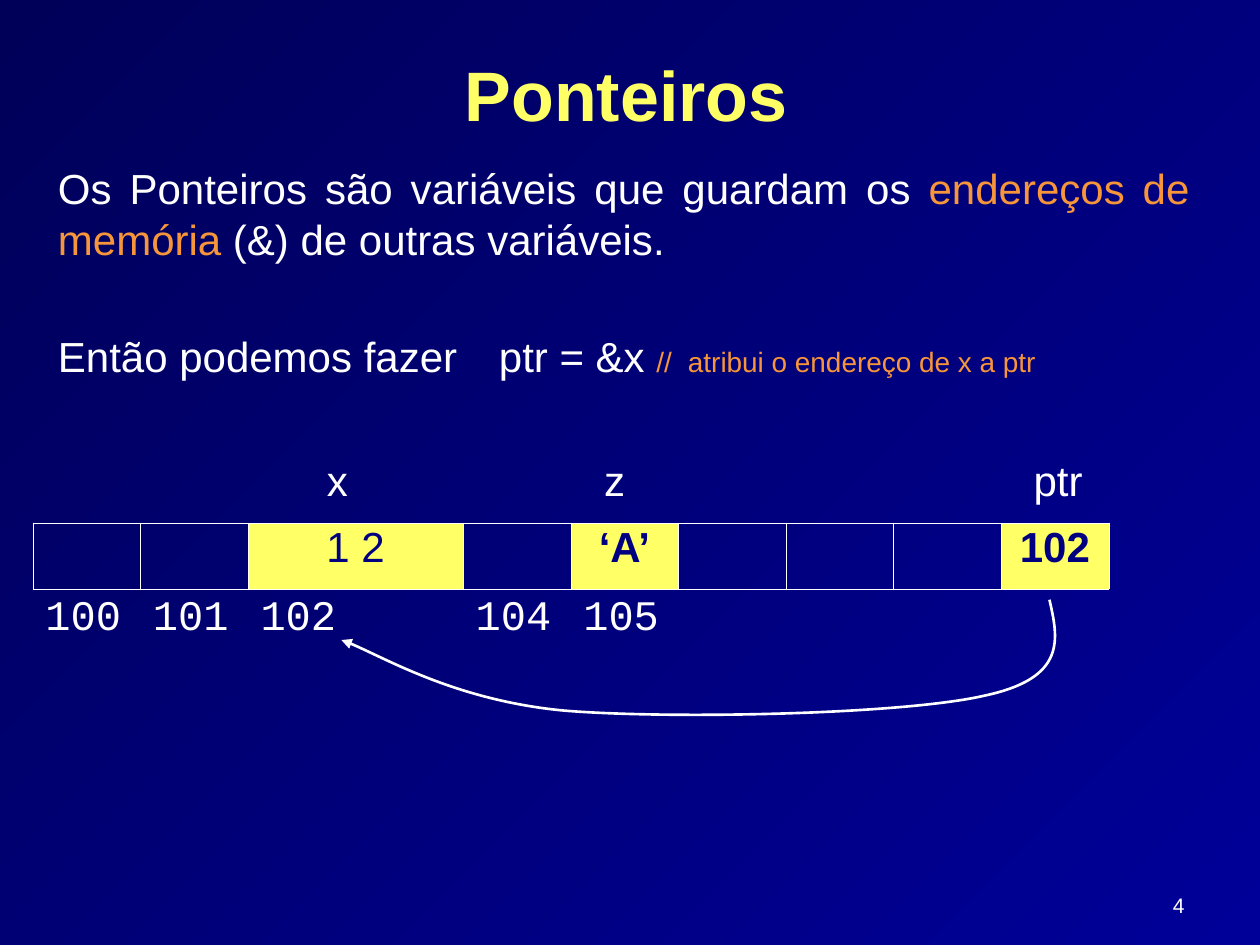
"""Build a slide on pointers: a definition, a memory row and an arrow from ptr to x."""
from lxml.etree import SubElement
from pptx import Presentation
from pptx.dml.color import RGBColor
from pptx.enum.text import MSO_ANCHOR as Anchor, MSO_AUTO_SIZE as AutoSize, PP_ALIGN as Align
from pptx.oxml.ns import qn
from pptx.util import Inches, Pt

NIGHT = RGBColor(0x00, 0x00, 0x58)
BLUE = RGBColor(0x00, 0x00, 0x99)
NAVY = RGBColor(0x00, 0x00, 0x80)
YELLOW = RGBColor(0xFF, 0xFF, 0x66)
ORANGE = RGBColor(0xF7, 0x95, 0x3B)
WHITE = RGBColor(0xFF, 0xFF, 0xFF)


def add_run(paragraph, text, size=24, color=WHITE, bold=False, name="Arial"):
    run = paragraph.add_run()
    run.text = text
    font = run.font
    font.size, font.bold, font.name = Pt(size), bold, name
    font.color.rgb = color


def add_tabs(paragraph, stops, alignment):
    tab_list = SubElement(paragraph._p.get_or_add_pPr(), qn("a:tabLst"))
    for stop in stops:
        SubElement(tab_list, qn("a:tab"), pos=str(Inches(stop)), algn=alignment)


presentation = Presentation()
presentation.slide_width, presentation.slide_height = Inches(10), Inches(7.5)
slide = presentation.slides.add_slide(presentation.slide_layouts[1])
shapes = slide.shapes

background = slide.background.fill
background.gradient()
background.gradient_angle = 315
for stop, position, color in zip(background.gradient_stops, (0, 1), (NIGHT, BLUE)):
    stop.position = position
    stop.color.rgb = color

title = shapes.title
title.left, title.top, title.width, title.height = map(Inches, (0.31, 0.12, 9.32, 1.25))
paragraph = title.text_frame.paragraphs[0]
paragraph.alignment = Align.CENTER
add_run(paragraph, "Ponteiros", 40, YELLOW, True)

body = slide.placeholders[1]
body.left, body.top, body.width, body.height = map(Inches, (0.36, 1.24, 9.18, 1.9))
body.text_frame.auto_size = AutoSize.NONE
definition = body.text_frame.paragraphs[0]
example = body.text_frame.add_paragraph()
for paragraph, space in ((definition, 6), (example, 38)):
    paragraph.alignment = Align.JUSTIFY
    paragraph.line_spacing = Pt(29)
    paragraph.space_before = Pt(space)
    properties = paragraph._p.get_or_add_pPr()
    properties.set("marL", "0")
    properties.set("indent", "0")
    SubElement(properties, qn("a:buNone"))
add_run(definition, "Os Ponteiros são variáveis que guardam os ")
add_run(definition, "endereços de memória", color=ORANGE)
add_run(definition, " (&) de outras variáveis.")
add_tabs(example, (3.45, 5), "l")
add_run(example, "Então podemos fazer\tptr = &x ")
add_run(example, "//\tatribui o endereço de x a ptr", 16, ORANGE)

labels = shapes.add_textbox(Inches(0.38), Inches(3.56), Inches(8.73), Inches(0.65))
labels.text_frame.word_wrap = True
paragraph = labels.text_frame.paragraphs[0]
paragraph.space_before = Pt(6)
add_tabs(paragraph, (2.2, 4.4, 7.92), "ctr")
add_run(paragraph, "\tx\tz\tptr")

values = {2: "1 2", 5: "‘A’", 9: "102"}
addresses = {0: "100", 1: "101", 2: "102", 4: "104", 5: "105"}
memory = shapes.add_table(2, 10, Inches(0.26), Inches(4.15), Inches(8.54), Inches(1.05)).table
memory.first_row = memory.horz_banding = False
memory._tbl.tblPr.find(qn("a:tableStyleId")).text = "{2D5ABB26-0587-4C30-8999-92F81FD0307C}"
memory.cell(0, 2).merge(memory.cell(0, 3))
for column in range(10):
    value_cell, address_cell = memory.cell(0, column), memory.cell(1, column)
    for side in ("L", "R", "T", "B"):
        border = SubElement(value_cell._tc.get_or_add_tcPr(), qn(f"a:ln{side}"), w=str(Pt(0.25)))
        border_fill = SubElement(border, qn("a:solidFill"))
        SubElement(border_fill, qn("a:srgbClr"), val=str(WHITE))
    value_cell.fill.background()
    address_cell.fill.background()
    if column in values:
        value_cell.fill.solid()
        value_cell.fill.fore_color.rgb = YELLOW
        paragraph = value_cell.text_frame.paragraphs[0]
        paragraph.alignment = Align.CENTER
        paragraph.line_spacing, paragraph.space_before = 0.89, Pt(6)
        add_run(paragraph, values[column], color=NAVY, bold=column != 2)
    if column in addresses:
        paragraph = address_cell.text_frame.paragraphs[0]
        paragraph.line_spacing, paragraph.space_before = 0.92, Pt(6)
        add_run(paragraph, addresses[column], name="Courier New")

curve_points = [
    (8.4, 5.07), (8.47, 5.38), (7.82, 5.52),
    (7.18, 5.67), (5.33, 5.71), (4.48, 5.64),
    (3.62, 5.56), (2.95, 5.16), (2.71, 5.08),
]
builder = shapes.build_freeform(Inches(8.33), Inches(4.76))
builder.add_line_segments([(Inches(x), Inches(y)) for x, y in curve_points], close=False)
arrow = builder.convert_to_shape()
segments = list(arrow._element.iter(qn("a:lnTo")))
for start in range(0, len(segments), 3):
    outline = segments[start].getparent()
    curve = SubElement(outline, qn("a:cubicBezTo"))
    for segment in segments[start:start + 3]:
        curve.append(segment[0])
        outline.remove(segment)
arrow.shadow.inherit = False
arrow.fill.background()
arrow.line.color.rgb = WHITE
arrow.line.width = Pt(1.5)
SubElement(arrow.line._get_or_add_ln(), qn("a:tailEnd"), type="triangle")

number = shapes.add_textbox(Inches(7.17), Inches(6.83), Inches(2.33), Inches(0.5))
number.text_frame.word_wrap = True
number.text_frame.vertical_anchor = Anchor.BOTTOM
paragraph = number.text_frame.paragraphs[0]
paragraph.alignment = Align.RIGHT
add_run(paragraph, "4", 12)

presentation.save("out.pptx")
